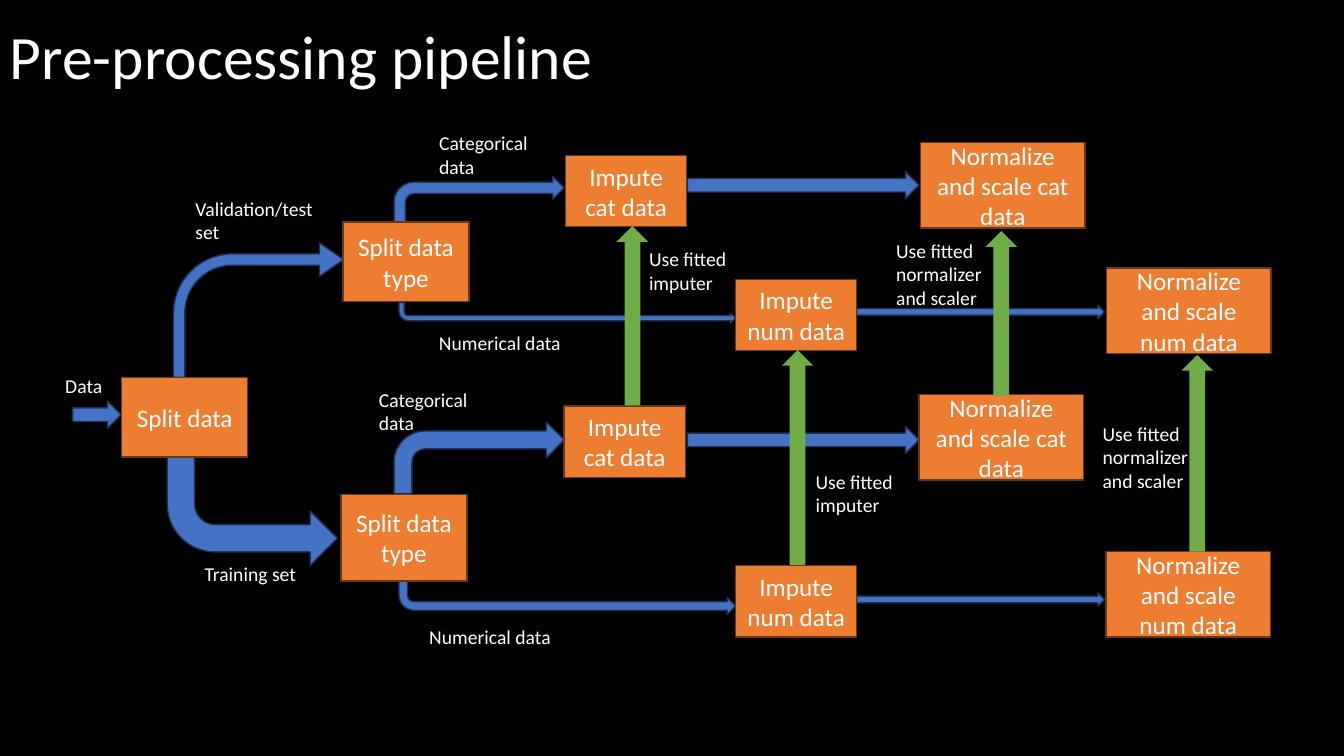
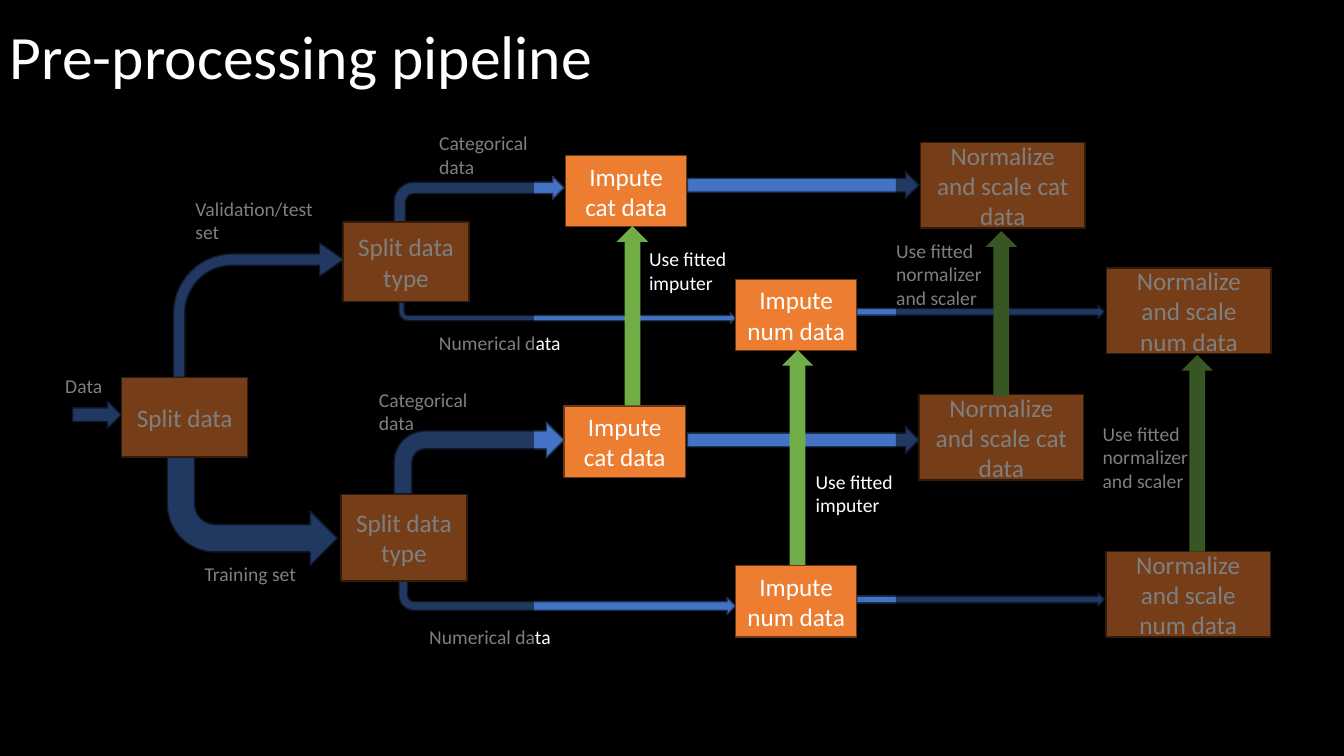
import dataclasses

import lxml.etree
import pptx
import pptx.dml.color
import pptx.enum.shapes
import pptx.enum.text
import pptx.oxml.ns
import pptx.util

Pt = pptx.util.Pt
SHAPE = pptx.enum.shapes.MSO_SHAPE
ALIGN = pptx.enum.text.PP_ALIGN
ANCHOR = pptx.enum.text.MSO_ANCHOR


@dataclasses.dataclass(frozen=True)
class Theme:
    font: str = "Calibri"
    background: str = "000000"
    text: str = "FFFFFF"
    step: str = "ED7D31"
    step_line: str = "683715"
    flow: str = "4472C4"
    flow_line: str = "1E3256"
    reuse: str = "70AD47"
    title_size: float = 44
    step_size: float = 18
    label_size: float = 14
    label_leading: float = 17
    line_width: float = 1
    veil_opacity: int = 50


THEME = Theme()
SLIDE_WIDTH, SLIDE_HEIGHT = 960, 540
TITLE = "Pre-processing pipeline"

# Left, top, width, height
STRAIGHT_FLOWS = [
    (52, 286.5, 34.5, 19.5),
    (491, 122.5, 165.5, 19.5),
    (491, 304.5, 165.5, 19.5),
    (612, 218, 177, 9.5),
    (612, 423.5, 177, 9.5),
]
VALIDATION_FLOW = (124, 173.5, 121.5, 96)
VALIDATION_BEND = (0.084, 0.124, 0.179, 0.438)
RISING_FLOWS = [(281.5, 126, 121.5, 32.5), (281.5, 301.5, 121.5, 51)]
FALLING_FLOWS = [
    (119.5, 326, 121.5, 78),
    (285, 216, 240.5, 15),
    (285, 414.5, 240.5, 24.5),
]

# Wording, width, height, (left, top) of each step
STEPS = [
    ("Split data", 90, 57, [(87, 269.5)]),
    ("Split data type", 90, 57, [(245, 158.5)]),
    ("Split data type", 90, 62, [(243.5, 353)]),
    ("Impute cat data", 86.5, 51, [(404, 111), (403, 290)]),
    ("Impute num data", 86.5, 51, [(525.5, 199.5), (525.5, 404)]),
    ("Normalize and scale cat data", 117.5, 61, [(657.5, 102), (656.5, 282)]),
    ("Normalize and scale num data", 117.5, 61, [(790.5, 191.5), (790, 394)]),
]

# Left, top, height
REUSE_WIDTH = 22.5
REUSE_ARROWS = [
    (440.5, 161.5, 128),
    (558.5, 250, 153.5),
    (704, 165, 118),
    (844, 253.5, 140.5),
]

# Wording, width, lines, (left, top) of each label
LABELS = [
    ("Data", 90, 1, [(39.5, 263.5)]),
    ("Validation/test set", 103, 2, [(132.5, 137)]),
    ("Training set", 90, 1, [(139, 398)]),
    ("Categorical data", 87, 2, [(306.5, 90), (263.5, 273.5)]),
    ("Numerical data", 103, 1, [(306.5, 232.5), (299.5, 443)]),
    ("Use fitted imputer", 87, 2, [(456.5, 173), (575.5, 332)]),
    ("Use fitted normalizer and scaler", 87, 3, [(633, 167), (780.5, 297.5)]),
]

IMPUTE_VEILS = [(30, 83, 351.5, 437.5), (640, 67.5, 320, 437.5)]


def rgb(code):
    return pptx.dml.color.RGBColor.from_string(code)


def write(frame, wording, *, size, align=ALIGN.LEFT, anchor=ANCHOR.TOP, spacing=None):
    frame.word_wrap = True
    frame.vertical_anchor = anchor
    paragraph = frame.paragraphs[0]
    paragraph.alignment = align
    paragraph.line_spacing = spacing
    run = paragraph.add_run()
    run.text = wording
    run.font.name = THEME.font
    run.font.size = Pt(size)
    run.font.color.rgb = rgb(THEME.text)


def add_text(slide, wording, bounds, **text_format):
    box = slide.shapes.add_textbox(*map(Pt, bounds))
    write(box.text_frame, wording, **text_format)


def add_block(slide, preset, bounds, fill, line=None):
    block = slide.shapes.add_shape(preset, *map(Pt, bounds))
    block.shadow.inherit = False
    block.fill.solid()
    block.fill.fore_color.rgb = rgb(fill)
    if line:
        block.line.color.rgb = rgb(line)
        block.line.width = Pt(THEME.line_width)
    else:
        block.line.fill.background()
    return block


def add_flow(slide, bounds, preset=SHAPE.BENT_ARROW, bend=(), falling=False):
    """Add a blue arrow; a falling one bends downwards before it turns right."""
    flow = add_block(slide, preset, bounds, THEME.flow, THEME.flow_line)
    for index, amount in enumerate(bend):
        flow.adjustments[index] = amount
    if falling:
        flow.element.spPr.get_or_add_xfrm().set("flipV", "1")


def add_step(slide, wording, bounds):
    step = add_block(slide, SHAPE.RECTANGLE, bounds, THEME.step, THEME.step_line)
    write(step.text_frame, wording, size=THEME.step_size,
          align=ALIGN.CENTER, anchor=ANCHOR.MIDDLE)


def add_veil(slide, bounds):
    """Dim a part of the pipeline with a half-transparent cover."""
    veil = add_block(slide, SHAPE.RECTANGLE, bounds, THEME.background)
    color = veil.element.spPr.find(".//" + pptx.oxml.ns.qn("a:srgbClr"))
    alpha = lxml.etree.SubElement(color, pptx.oxml.ns.qn("a:alpha"))
    alpha.set("val", str(THEME.veil_opacity * 1000))


def add_flows(slide):
    for bounds in STRAIGHT_FLOWS:
        add_flow(slide, bounds, SHAPE.RIGHT_ARROW)
    add_flow(slide, VALIDATION_FLOW, bend=VALIDATION_BEND)
    for bounds in RISING_FLOWS:
        add_flow(slide, bounds)
    for bounds in FALLING_FLOWS:
        add_flow(slide, bounds, falling=True)


def add_pipeline_slide(deck, veils=()):
    slide = deck.slides.add_slide(deck.slide_layouts[6])
    add_text(slide, TITLE, (0, -10, 828, 104.5), size=THEME.title_size,
             anchor=ANCHOR.MIDDLE, spacing=0.9)
    add_flows(slide)
    for wording, width, height, corners in STEPS:
        for corner in corners:
            add_step(slide, wording, (*corner, width, height))
    for left, top, height in REUSE_ARROWS:
        add_block(slide, SHAPE.UP_ARROW, (left, top, REUSE_WIDTH, height), THEME.reuse)
    for wording, width, lines, corners in LABELS:
        height = lines * THEME.label_leading + 7
        for corner in corners:
            add_text(slide, wording, (*corner, width, height), size=THEME.label_size)
    for bounds in veils:
        add_veil(slide, bounds)


def main():
    deck = pptx.Presentation()
    deck.slide_width, deck.slide_height = Pt(SLIDE_WIDTH), Pt(SLIDE_HEIGHT)
    backdrop = deck.slide_master.background.fill
    backdrop.solid()
    backdrop.fore_color.rgb = rgb(THEME.background)
    add_pipeline_slide(deck)
    add_pipeline_slide(deck, veils=IMPUTE_VEILS)
    deck.save("out.pptx")


if __name__ == "__main__":
    main()
